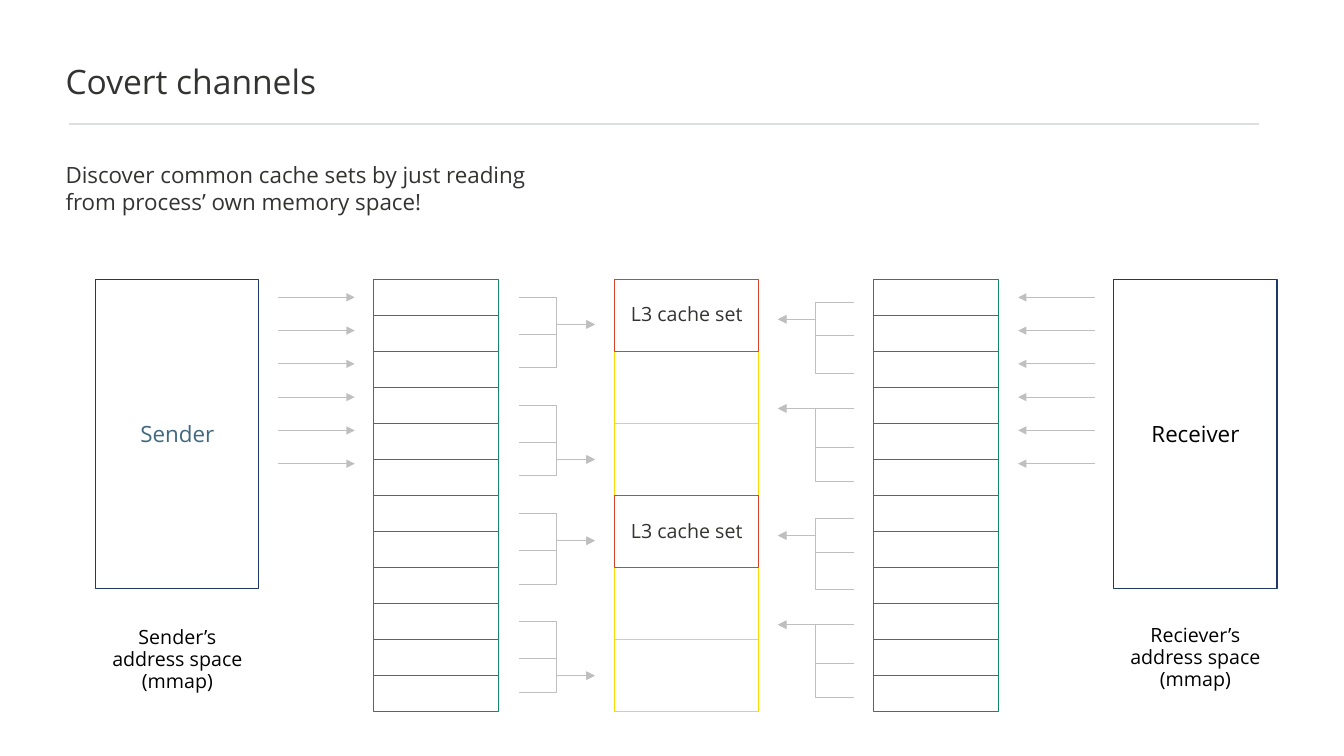
from lxml.etree import SubElement
from pptx import Presentation
from pptx.dml.color import RGBColor
from pptx.enum.shapes import MSO_CONNECTOR as LINK, MSO_SHAPE
from pptx.enum.text import MSO_ANCHOR as ANCHOR, MSO_AUTO_SIZE, PP_ALIGN as ALIGN
from pptx.oxml.ns import qn
from pptx.util import Pt

INK = RGBColor(0x33, 0x33, 0x32)
BLACK = RGBColor(0, 0, 0)
WHITE = RGBColor(0xFF, 0xFF, 0xFF)
RULE = RGBColor(0xDC, 0xDE, 0xE0)
GREY = RGBColor(0xBF, 0xBF, 0xBF)
NAVY = RGBColor(0x1E, 0x38, 0x67)
SLATE = RGBColor(0x40, 0x69, 0x7F)
GREEN = RGBColor(0x17, 0x87, 0x6C)
YELLOW = RGBColor(0xF6, 0xDD, 0x00)
RED = RGBColor(0xD8, 0x42, 0x2D)

TOP = 199.4
MEMORY_HEIGHT = 308.9
CACHE_LEFT, CACHE_WIDTH = 439.2, 102.7

deck = Presentation()
deck.slide_width, deck.slide_height = Pt(960), Pt(540)
slide = deck.slides.add_slide(deck.slide_layouts[1])
shapes = slide.shapes


def write(holder, text, size=14, colour=INK, align=ALIGN.CENTER, spacing=0.94,
          anchor=ANCHOR.MIDDLE, margins=(7.9, 4.3, 7.9, 4.3)):
    frame = holder.text_frame
    frame.word_wrap = True
    frame.auto_size = MSO_AUTO_SIZE.NONE
    frame.vertical_anchor = anchor
    (frame.margin_left, frame.margin_top,
     frame.margin_right, frame.margin_bottom) = map(Pt, margins)
    frame.text = text
    for paragraph in frame.paragraphs:
        paragraph.alignment = align
        paragraph.line_spacing = spacing
        paragraph.space_before = Pt(0)
        paragraph.font.name = "Open Sans"
        paragraph.font.size = Pt(size)
        paragraph.font.color.rgb = colour


def link(kind, x1, y1, x2, y2, colour=GREY, width=0.75, arrow=True):
    connector = shapes.add_connector(kind, Pt(x1), Pt(y1), Pt(x2), Pt(y2))
    connector.line.color.rgb = colour
    connector.line.width = Pt(width)
    if arrow:
        SubElement(connector.line._get_or_add_ln(), qn("a:tailEnd"), type="triangle")
    SubElement(connector._element.spPr, qn("a:effectLst"))
    return connector


heading = shapes.title
heading.left, heading.top, heading.width, heading.height = map(Pt, (46.8, 43.2, 750, 28.8))
write(heading, "Covert channels", size=24, align=ALIGN.LEFT, spacing=1,
      anchor=ANCHOR.TOP, margins=(0, 0, 0, 0))

summary = slide.placeholders[1]
summary.left, summary.top, summary.width, summary.height = map(Pt, (46.8, 111.6, 813, 57))
write(summary, "Discover common cache sets by just reading\nfrom process’ own memory space!",
      size=16, align=ALIGN.LEFT, spacing=1, anchor=ANCHOR.TOP, margins=(0, 3.6, 7.2, 3.6))
for paragraph in summary.text_frame.paragraphs:
    properties = paragraph._p.get_or_add_pPr()
    properties.set("marL", "0")
    properties.set("indent", "0")
    SubElement(properties, qn("a:buNone"))
    properties.append(properties.find(qn("a:defRPr")))

link(LINK.STRAIGHT, 49, 88.6, 899.3, 88.6, RULE, 1.64, arrow=False)

green_rows = {row: GREEN for row in range(1, 12)}
cache_rows = {2: YELLOW, 3: BLACK, 5: YELLOW}
for left, width, row_count, colour, separators in (
        (267.1, 89.3, 12, GREEN, green_rows),
        (CACHE_LEFT, CACHE_WIDTH, 6, YELLOW, cache_rows),
        (624.2, 89.3, 12, GREEN, green_rows)):
    memory = shapes.add_shape(MSO_SHAPE.RECTANGLE, Pt(left), Pt(TOP), Pt(width), Pt(MEMORY_HEIGHT))
    memory.shadow.inherit = False
    memory.line.color.rgb = colour
    memory.line.width = Pt(0.75)
    if colour == YELLOW:
        memory.fill.solid()
        memory.fill.fore_color.rgb = WHITE
    else:
        memory.fill.background()
    for row, separator_colour in separators.items():
        y = TOP + row * MEMORY_HEIGHT / row_count
        separator = link(LINK.STRAIGHT, left, y, left + width, y, separator_colour, arrow=False)
        if row * 2 == row_count:
            separator.begin_connect(memory, 1)
            separator.end_connect(memory, 3)

for row in (0, 3):
    cache_set = shapes.add_shape(MSO_SHAPE.RECTANGLE, Pt(CACHE_LEFT),
                                 Pt(TOP + row * MEMORY_HEIGHT / 6),
                                 Pt(CACHE_WIDTH), Pt(MEMORY_HEIGHT / 6))
    cache_set.shadow.inherit = False
    cache_set.fill.solid()
    cache_set.fill.fore_color.rgb = WHITE
    cache_set.line.color.rgb = RED
    cache_set.line.width = Pt(0.75)
    write(cache_set, "L3 cache set")

for left, role, role_colour, caption_text, caption_top in (
        (68.4, "Sender", SLATE, "Sender’s address space (mmap)", 444.2),
        (795.6, "Receiver", BLACK, "Reciever’s address space (mmap)", 442.8)):
    process = shapes.add_shape(MSO_SHAPE.RECTANGLE, Pt(left), Pt(TOP), Pt(116.6), Pt(221))
    process.shadow.inherit = False
    process.fill.background()
    process.line.color.rgb = NAVY
    process.line.width = Pt(0.75)
    write(process, role, size=16, colour=role_colour, margins=(7.9, 5, 7.9, 3.6))
    caption = shapes.add_textbox(Pt(left), Pt(caption_top), Pt(116.6), Pt(55.4))
    write(caption, caption_text, colour=BLACK, anchor=ANCHOR.TOP, margins=(7.2, 3.6, 7.2, 3.6))

for start, end in ((198.7, 253.4), (781.9, 727.2)):
    for step in range(6):
        y = 212.4 + step * 23.76
        link(LINK.STRAIGHT, start, y, end, y)

for start, end, sources, target in (
        (370.8, 424.8, (212.4, 239, 262.8), 231.8),
        (370.8, 424.8, (289.6, 316.2, 340), 328.2),
        (609.8, 555.8, (216, 239.9, 266.6), 228.1),
        (609.8, 555.8, (291.8, 319.5, 343.9), 291.8)):
    for offset in (0, MEMORY_HEIGHT / 2):
        for source in sources:
            link(LINK.ELBOW, start, source + offset, end, target + offset)

deck.save("out.pptx")
